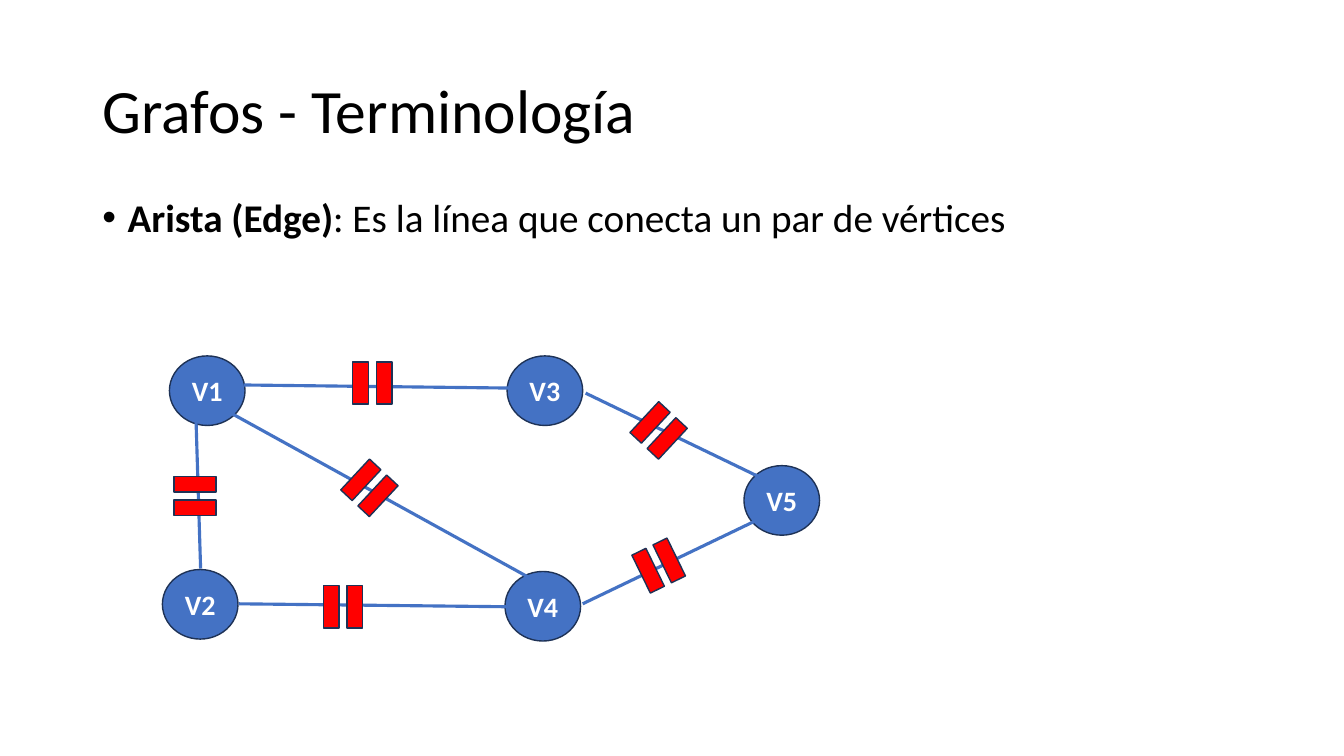
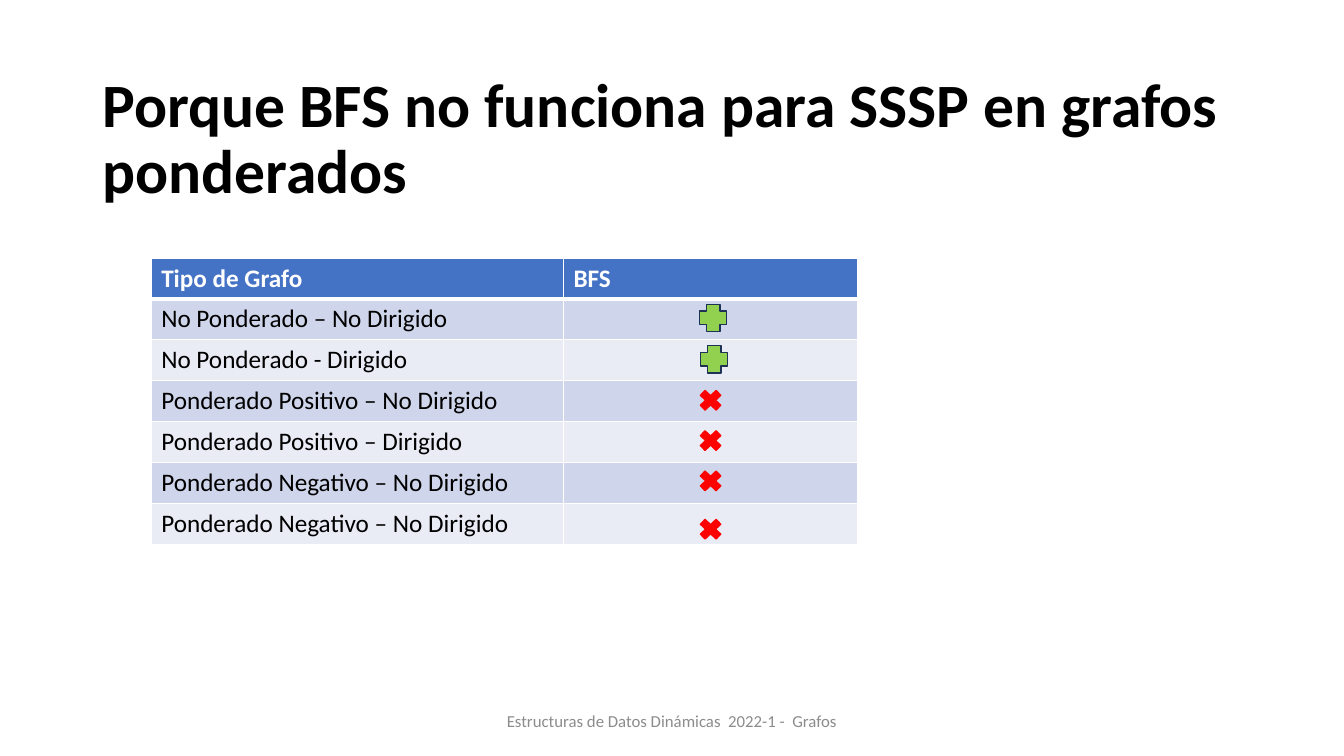
from dataclasses import dataclass

from lxml.etree import SubElement
from pptx import Presentation
from pptx.dml.color import RGBColor
from pptx.enum.shapes import MSO_CONNECTOR, MSO_SHAPE as Shape
from pptx.enum.text import MSO_ANCHOR as Anchor, MSO_AUTO_SIZE as AutoSize, PP_ALIGN as Align
from pptx.oxml.ns import qn
from pptx.util import Pt


@dataclass(frozen=True)
class Theme:
    font: str = "Calibri"
    ink: str = "000000"
    paper: str = "FFFFFF"
    blue: str = "4472C4"
    outline: str = "1E3256"
    red: str = "FF0000"
    green: str = "92D050"
    grey: str = "8C8C8C"
    bands: tuple = ("CFD5EA", "E9EBF5")
    title_size: float = 44
    body_size: float = 28
    node_size: float = 20
    table_size: float = 18
    footer_size: float = 12


THEME = Theme()
TITLE_AND_BODY, TITLE_ONLY = 1, 5  # layout positions in the template

# Graph: node corners, then edges as start, end, mark corner and mark rotation
NODE_SIZE = (54, 49.7)
EDGE_MARK_SIZE = (41, 47.5)
NODES = {
    "V1": (121, 254.2),
    "V5": (531.4, 332.6),
    "V2": (116, 406.8),
    "V4": (360.7, 408.2),
    "V3": (362.2, 254.2),
}
EDGES = [
    ((174.2, 275), (365, 277.2), (245.5, 249.8), 270),
    ((170.6, 431.3), (362.2, 433.4), (224.6, 409.7), 270),
    ((153.4, 288.7), (384.5, 416.2), (243.4, 324.7), 313),
    ((418.3, 280.8), (542.2, 340.6), (450, 283.7), 313),
    ((416.2, 431.3), (542.2, 370.8), (450, 380.2), 244),
    ((139.7, 289.4), (143.3, 406.1), (118.8, 330.5), 180),
]

# Table: graph type, whether BFS works, and the corner of its mark
HEADINGS = ("Tipo de Grafo", "BFS")
GRAPH_TYPES = [
    ("No Ponderado – No Dirigido", True, (499.7, 217.4)),
    ("No Ponderado - Dirigido", True, (500.4, 247)),
    ("Ponderado Positivo – No Dirigido", False, (496.8, 275.8)),
    ("Ponderado Positivo – Dirigido", False, (496.8, 304.6)),
    ("Ponderado Negativo – No Dirigido", False, (496.8, 333.4)),
    ("Ponderado Negativo – No Dirigido", False, (496.8, 367.9)),
]
COLUMN_WIDTHS = (294.5, 210.2)
ROW_HEIGHT = 29.2


def color(value):
    return RGBColor.from_string(value)


def add_run(paragraph, text, size, ink, bold=False):
    run = paragraph.add_run()
    run.text = text
    font = run.font
    font.name, font.size, font.bold = THEME.font, Pt(size), bold
    font.color.rgb = color(ink)


def place(placeholder, left, top, width, height, anchor):
    placeholder.left, placeholder.top = Pt(left), Pt(top)
    placeholder.width, placeholder.height = Pt(width), Pt(height)
    frame = placeholder.text_frame
    frame.word_wrap, frame.auto_size = True, AutoSize.NONE
    frame.vertical_anchor = anchor
    paragraph = frame.paragraphs[0]
    paragraph.alignment, paragraph.line_spacing = Align.LEFT, 0.9
    return paragraph


def add_title(slide, text, top, bold=False):
    paragraph = place(slide.shapes.title, 66, top, 828, 104.4, Anchor.MIDDLE)
    add_run(paragraph, text, THEME.title_size, THEME.ink, bold)


def add_definition(slide, term, meaning):
    paragraph = place(slide.placeholders[1], 66, 138, 828, 54, Anchor.TOP)
    paragraph.space_before = Pt(10)
    properties = paragraph._p.get_or_add_pPr()
    properties.set("marL", str(Pt(18)))
    properties.set("indent", str(Pt(-18)))
    SubElement(properties, qn("a:buFont"), typeface="Arial")
    SubElement(properties, qn("a:buChar"), char="•")
    add_run(paragraph, term, THEME.body_size, THEME.ink, True)
    add_run(paragraph, meaning, THEME.body_size, THEME.ink)


def add_figure(slide, kind, corner, size, fill, line=THEME.outline, rotation=0):
    figure = slide.shapes.add_shape(kind, *map(Pt, corner + size))
    figure.shadow.inherit = False
    figure.rotation = rotation
    figure.fill.solid()
    figure.fill.fore_color.rgb = color(fill)
    figure.line.color.rgb = color(line)
    figure.line.width = Pt(1)
    return figure


def add_node(slide, label, corner):
    node = add_figure(slide, Shape.OVAL, corner, NODE_SIZE, THEME.blue)
    frame = node.text_frame
    frame.margin_left = frame.margin_right = 0
    frame.vertical_anchor = Anchor.MIDDLE
    paragraph = frame.paragraphs[0]
    paragraph.alignment = Align.CENTER
    add_run(paragraph, label, THEME.node_size, THEME.paper, True)


def add_edge(slide, start, end):
    edge = slide.shapes.add_connector(MSO_CONNECTOR.STRAIGHT, *map(Pt, start + end))
    edge.line.color.rgb = color(THEME.blue)
    edge.line.width = Pt(2.25)
    SubElement(edge._element.spPr, qn("a:effectLst"))


def add_border(cell, side, width):
    border = SubElement(cell._tc.get_or_add_tcPr(), qn(f"a:ln{side}"), w=str(Pt(width)))
    fill = SubElement(border, qn("a:solidFill"))
    SubElement(fill, qn("a:srgbClr"), val=THEME.paper)


def format_cell(cell, fill, top, bottom):
    for side, width in zip("LRTB", (1, 1, top, bottom)):
        add_border(cell, side, width)
    cell.fill.solid()
    cell.fill.fore_color.rgb = color(fill)


def add_bfs_table(slide):
    row_count = len(GRAPH_TYPES) + 1
    table = slide.shapes.add_table(
        row_count, len(HEADINGS), Pt(108), Pt(184.3),
        Pt(sum(COLUMN_WIDTHS)), Pt(ROW_HEIGHT * row_count)).table
    for column, width in zip(table.columns, COLUMN_WIDTHS):
        column.width = Pt(width)
    for row in table.rows:
        row.height = Pt(ROW_HEIGHT)

    for cell, heading in zip(table.rows[0].cells, HEADINGS):
        format_cell(cell, THEME.blue, 1, 3)
        add_run(cell.text_frame.paragraphs[0], heading, THEME.table_size, THEME.paper, True)

    for index, (graph_type, _, _) in enumerate(GRAPH_TYPES):
        cells = table.rows[index + 1].cells
        for cell in cells:
            format_cell(cell, THEME.bands[index % 2], 3 if index == 0 else 1, 1)
        add_run(cells[0].text_frame.paragraphs[0], graph_type, THEME.table_size, THEME.ink)


def add_verdict(slide, works, corner):
    if works:
        add_figure(slide, Shape.CROSS, corner, (19.4, 19.4), THEME.green)
    else:
        add_figure(slide, Shape.MATH_MULTIPLY, corner, (21.6, 20.2), THEME.red, THEME.red)


def add_footer(slide, text):
    frame = slide.shapes.add_textbox(Pt(318), Pt(500.4), Pt(324), Pt(28.8)).text_frame
    frame.word_wrap = True
    frame.vertical_anchor = Anchor.MIDDLE
    paragraph = frame.paragraphs[0]
    paragraph.alignment = Align.CENTER
    add_run(paragraph, text, THEME.footer_size, THEME.grey)


def build_edge_slide(deck):
    slide = deck.slides.add_slide(deck.slide_layouts[TITLE_AND_BODY])
    add_title(slide, "Grafos - Terminología", 28.8)
    add_definition(slide, "Arista (Edge)", ": Es la línea que conecta un par de vértices")
    for label, corner in NODES.items():
        add_node(slide, label, corner)
    for start, end, _, _ in EDGES:
        add_edge(slide, start, end)
    for _, _, corner, rotation in EDGES:
        add_figure(slide, Shape.MATH_EQUAL, corner, EDGE_MARK_SIZE, THEME.red, rotation=rotation)


def build_bfs_slide(deck):
    slide = deck.slides.add_slide(deck.slide_layouts[TITLE_ONLY])
    add_title(slide, "Porque BFS no funciona para SSSP en grafos ponderados", 48.2, bold=True)
    add_bfs_table(slide)
    add_footer(slide, "Estructuras de Datos Dinámicas  2022-1 -  Grafos")
    for _, works, corner in GRAPH_TYPES:
        add_verdict(slide, works, corner)


def main():
    deck = Presentation()
    deck.slide_width, deck.slide_height = Pt(960), Pt(540)
    build_edge_slide(deck)
    build_bfs_slide(deck)
    deck.save("out.pptx")


if __name__ == "__main__":
    main()
